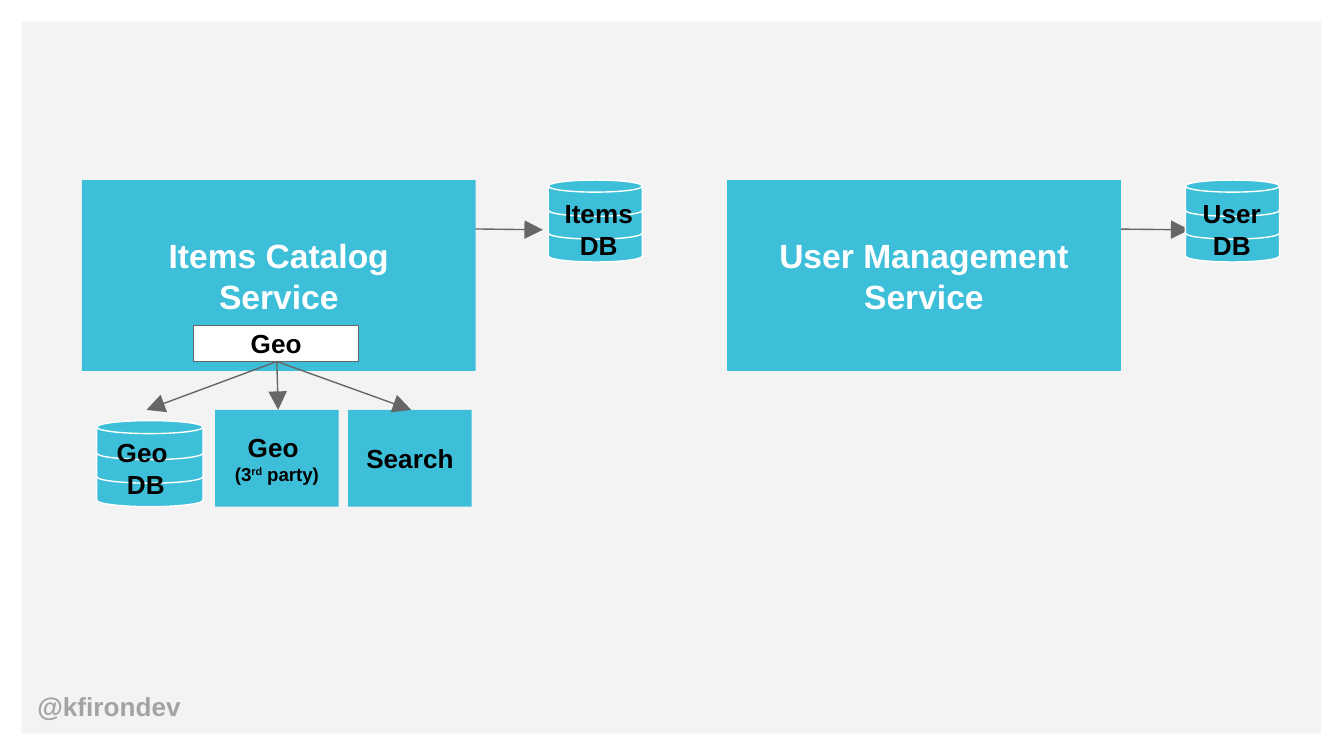
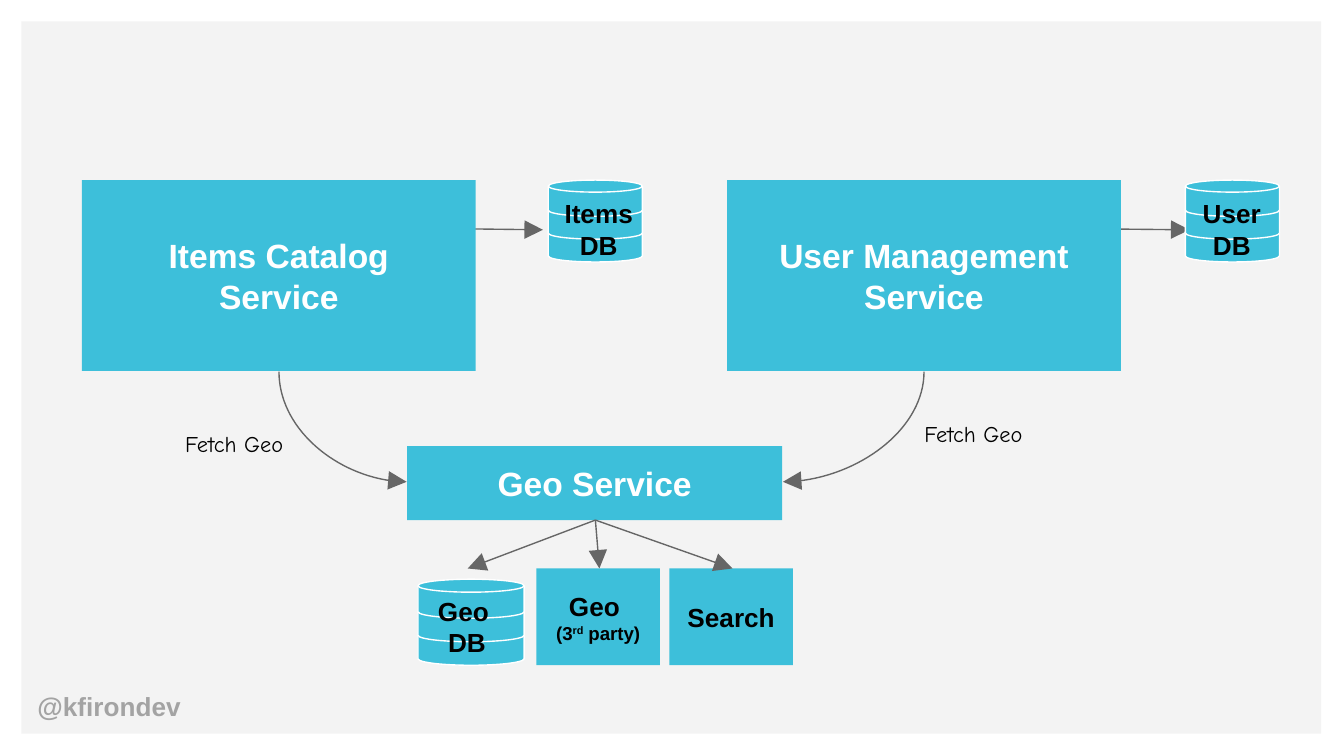
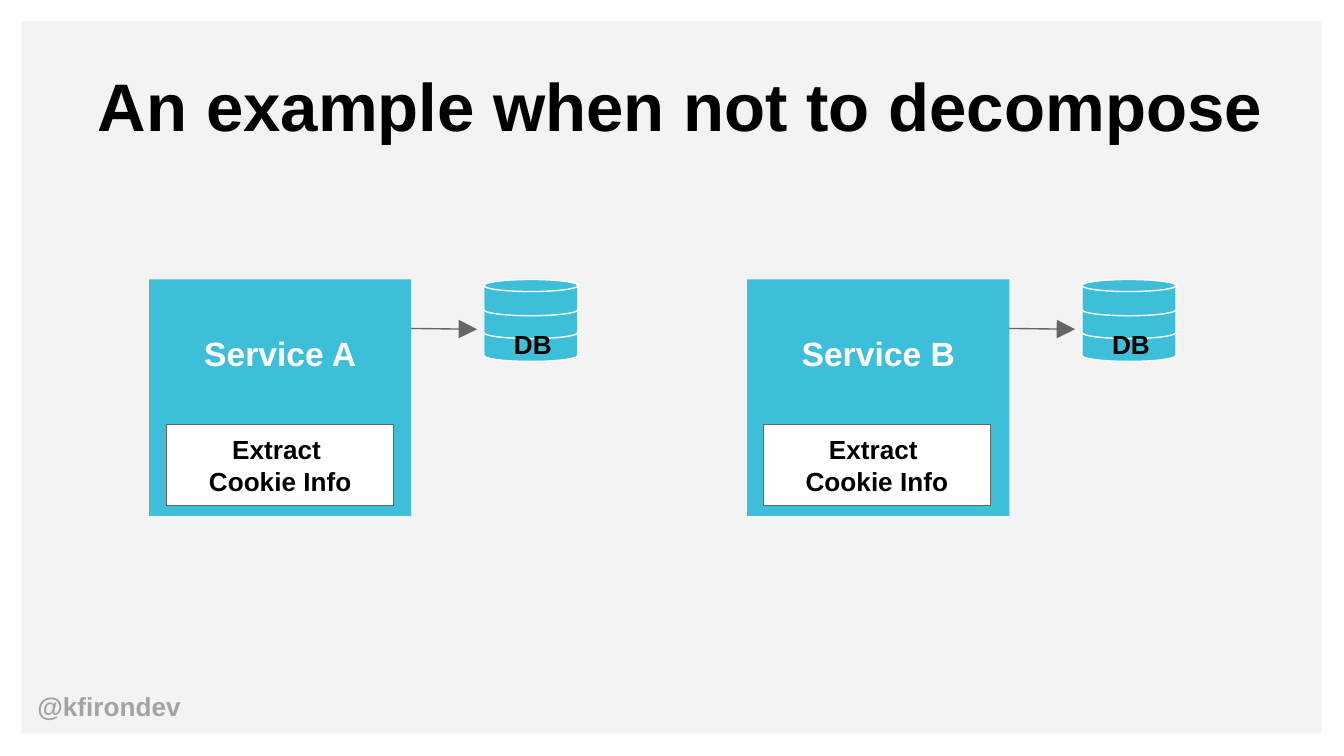
from lxml import etree
from pptx import Presentation
from pptx.dml.color import RGBColor
from pptx.enum.shapes import MSO_CONNECTOR, MSO_SHAPE
from pptx.enum.text import MSO_ANCHOR, PP_ALIGN
from pptx.oxml.ns import qn
from pptx.util import Inches, Pt

BLUE, WHITE, BLACK = "3DBFDA", "FFFFFF", "000000"
BAND, GRAY, HANDLE = "F3F3F3", "666666", "A3A3A3"


def block(s, at, text="", size=14, color=BLACK, fill=None, line=None, kind=MSO_SHAPE.RECTANGLE,
          align=PP_ALIGN.CENTER, top=0.1, font="Arial"):
    """Add a filled shape, or a plain text box when there is no fill; return its text frame."""
    at = [Inches(v) for v in at]
    if fill:
        sp = s.shapes.add_shape(kind, *at)
        sp.shadow.inherit = False
        sp.fill.solid()
        sp.fill.fore_color.rgb = RGBColor.from_string(fill)
        if line:
            sp.line.color.rgb = RGBColor.from_string(line)
            sp.line.width = Pt(0.75)
        else:
            sp.line.fill.background()
    else:
        sp = s.shapes.add_textbox(*at)
    tf = sp.text_frame
    if not text:
        return tf
    tf.word_wrap = True
    tf.margin_left = tf.margin_right = tf.margin_bottom = Inches(0.1)
    tf.margin_top = Inches(top)
    tf.vertical_anchor = MSO_ANCHOR.MIDDLE if fill and top == 0.1 else MSO_ANCHOR.TOP
    tf.text = text
    for p in tf.paragraphs:
        p.alignment = align
        for br in p._p.findall(qn("a:br")):
            etree.SubElement(br, qn("a:rPr"), sz=str(size * 100))
        for r in p.runs:
            r.font.name, r.font.size, r.font.bold = font, Pt(size), font == "Arial"
            r.font.color.rgb = RGBColor.from_string(color)
    return tf


def arrow(s, x1, y1, x2, y2, turn=0):
    """Add a straight arrow, or a quarter curve whose frame is turned by some degrees."""
    kind = MSO_CONNECTOR.CURVE if turn else MSO_CONNECTOR.STRAIGHT
    c = s.shapes.add_connector(kind, Inches(x1), Inches(y1), Inches(x2), Inches(y2))
    c.line.color.rgb = RGBColor.from_string(GRAY)
    c.line.width = Pt(0.75)
    spPr = c._element.spPr
    etree.SubElement(spPr.find(qn("a:ln")), qn("a:tailEnd"), type="triangle", w="lg", len="lg")
    etree.SubElement(spPr, qn("a:effectLst"))
    if turn:
        spPr.find(qn("a:xfrm")).set("rot", str(turn * 60000))
        spPr.find(qn("a:prstGeom")).set("prst", "curvedConnector2")


prs = Presentation()
prs.slide_width = Inches(10)
prs.slide_height = prs.slide_width * 9 // 16
slides = []
for _ in range(3):
    s = prs.slides.add_slide(prs.slide_layouts[6])
    block(s, (0.16, 0.16, 9.67, 5.3), fill=BAND)
    slides.append(s)

# Services with their databases: box, text, top inset, arrow, disks (x, y), label
catalog = ((0.61, 1.34, 2.93, 1.42), "Items Catalog\nService", 0.1,
           (3.24, 1.7, 4.04, 1.71), (4.08, 1.34), (3.98, 1.37, 0.95, 0.66), "Items DB")
users = ((5.41, 1.34, 2.93, 1.42), "User Management Service", 0.1,
         (7.89, 1.7, 8.85, 1.71), (8.82, 1.34), (8.69, 1.37, 0.95, 0.66), "User DB")
twins = [((x, 2.08, 1.95, 1.76), f"Service {letter}", 0.4,
          (x + 1.64, 2.44, x + 2.44, 2.45), (x + 2.49, 2.08), (x + 2.38, 2.34, 0.95, 0.43), "DB")
         for x, letter in ((1.11, "A"), (5.56, "B"))]

for s, services in zip(slides, ([catalog, users], [catalog, users], twins)):
    for box, name, top, link, (x, y), label, db in services:
        arrow(s, *link)
        for i in (2, 1, 0):
            block(s, (x, y + 0.17 * i, 0.7, 0.27), fill=BLUE, line=WHITE,
                  kind=MSO_SHAPE.FLOWCHART_MAGNETIC_DISK)
        block(s, label, db)
        block(s, box, name, 18, WHITE, BLUE, top=top)

# Boxes that sit in or between the services
block(slides[0], (1.44, 2.42, 1.23, 0.27), "Geo", fill=WHITE, line=GRAY)
block(slides[1], (3.03, 3.32, 2.79, 0.55), "Geo Service", 18, WHITE, BLUE)
for x in (1.24, 5.68):
    block(slides[2], (x, 3.16, 1.69, 0.6), "Extract \vCookie Info", fill=WHITE, line=GRAY)

# Sources of geo data, fed from one hub
for s, x, y, hub in ((slides[0], 0.61, 3.05, 2.06), (slides[1], 3, 4.23, 4.43)):
    for i in (2, 1, 0):
        block(s, (x + 0.11, y + 0.08 + 0.35 * i / 2, 0.79, 0.29), fill=BLUE, line=WHITE,
              kind=MSO_SHAPE.FLOWCHART_MAGNETIC_DISK)
    block(s, (x, y + 0.1, 0.95, 0.56), "Geo \vDB")
    block(s, (x + 1.98, y, 0.92, 0.72), "Search", fill=BLUE)
    p = block(s, (x + 0.99, y, 0.92, 0.72), "Geo \v(3", fill=BLUE).paragraphs[0]
    for part in ("rd", " party)"):
        p.add_run().text = part
    for r in p.runs[1:]:
        r.font.name, r.font.size, r.font.bold = "Arial", Pt(10), True
        r.font.color.rgb = RGBColor.from_string(BLACK)
    p.runs[2].font._element.set("baseline", "30000")
    for tip in (2.45, 1.46, 0.48):
        arrow(s, hub, y - 0.36, x + tip, y)

# Calls to the geo service
arrow(slides[1], 5.94, 2.65, 6.76, 3.7, turn=90)
arrow(slides[1], 2.96, 2.7, 2.14, 3.65, turn=270)
for x, y in ((6.78, 3.03), (1.28, 3.1)):
    block(slides[1], (x, y, 1.85, 0.66), "Fetch Geo", 12, align=PP_ALIGN.LEFT, font="Comic Neue")

block(slides[2], (0.63, 0.38, 8.88, 0.45), "An example when not to decompose", 36,
      align=PP_ALIGN.LEFT)
for s in slides:
    block(s, (0.18, 5.09, 1.43, 0.34), "@kfirondev", color=HANDLE, align=PP_ALIGN.LEFT, top=0.05)

prs.save("out.pptx")
